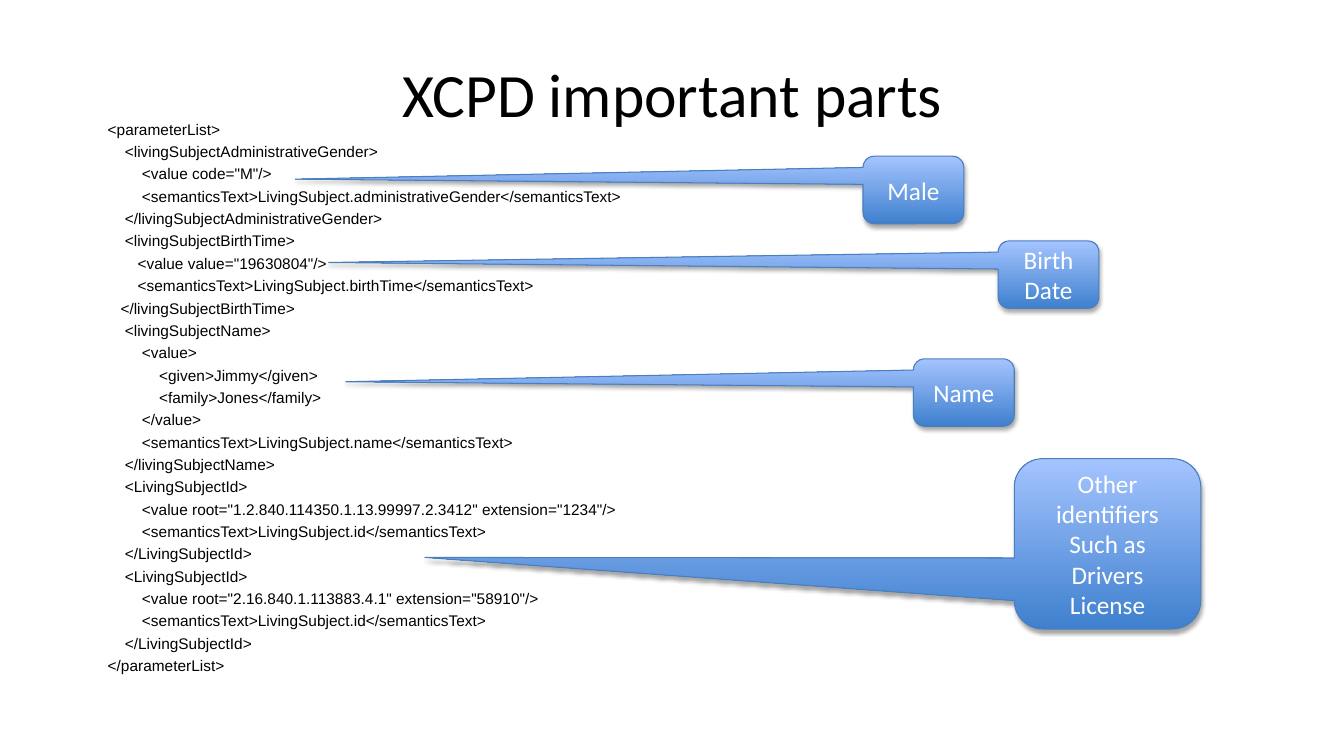
from dataclasses import dataclass

from lxml import etree
from pptx import Presentation
from pptx import util as u
from pptx.dml.color import RGBColor
from pptx.enum import shapes, text
from pptx.oxml.ns import qn

SPACE = 0.0425


@dataclass
class Line:
    pad: int
    code: str


@dataclass
class Note:
    label: str
    left: float
    top: float
    width: float
    height: float
    tip_x: float
    tip_y: float


LINES = [
    Line(0, '<parameterList>'),
    Line(4, '<livingSubjectAdministrativeGender>'),
    Line(8, '<value code="M"/>'),
    Line(8, '<semanticsText>LivingSubject.administrativeGender</semanticsText>'),
    Line(4, '</livingSubjectAdministrativeGender>'),
    Line(4, '<livingSubjectBirthTime>'),
    Line(7, '<value value="19630804"/>'),
    Line(7, '<semanticsText>LivingSubject.birthTime</semanticsText>'),
    Line(3, '</livingSubjectBirthTime>'),
    Line(4, '<livingSubjectName>'),
    Line(8, '<value>'),
    Line(12, '<given>Jimmy</given>'),
    Line(12, '<family>Jones</family>'),
    Line(8, '</value>'),
    Line(8, '<semanticsText>LivingSubject.name</semanticsText>'),
    Line(4, '</livingSubjectName>'),
    Line(4, '<LivingSubjectId>'),
    Line(8, '<value root="1.2.840.114350.1.13.99997.2.3412" extension="1234"/>'),
    Line(8, '<semanticsText>LivingSubject.id</semanticsText>'),
    Line(4, '</LivingSubjectId>'),
    Line(4, '<LivingSubjectId>'),
    Line(8, '<value root="2.16.840.1.113883.4.1" extension="58910"/>'),
    Line(8, '<semanticsText>LivingSubject.id</semanticsText>'),
    Line(4, '</LivingSubjectId>'),
    Line(0, '</parameterList>'),
]

NOTES = [
    Note("Male", 8.56, 1.55, 1, 0.67, -6.13, -0.16),
    Note("Birth Date", 9.9, 2.39, 1, 0.67, -7.14, -0.18),
    Note("Name", 9.06, 3.56, 1, 0.67, -6.13, -0.16),
    Note("Other identifiers Such as Drivers License",
         10.06, 4.55, 1.85, 1.69, -3.66, 0.08),
]


def tint(color, code: str) -> None:
    color.rgb = RGBColor.from_string(code)


def style(par, face: str, size: float, code: str) -> None:
    for run in par.runs:
        run.font.name = face
        run.font.size = u.Pt(size)
        tint(run.font.color, code)


def shade(shape) -> None:
    shape.shadow.inherit = False
    glow = shape.element.spPr.find(qn("a:effectLst"))
    drop = etree.SubElement(glow, qn("a:outerShdw"), blurRad=str(u.Pt(3.1)),
                            dist=str(u.Pt(1.8)), dir="5400000", rotWithShape="0")
    black = etree.SubElement(drop, qn("a:srgbClr"), val="000000")
    etree.SubElement(black, qn("a:alpha"), val="35000")


def draw_title(slide) -> None:
    title = slide.shapes.title
    title.left, title.top = u.Inches(0.67), u.Inches(0.3)
    title.width, title.height = u.Inches(12), u.Inches(1.25)
    frame = title.text_frame
    frame.text = "XCPD important parts"
    frame.vertical_anchor = text.MSO_ANCHOR.MIDDLE
    frame.paragraphs[0].alignment = text.PP_ALIGN.CENTER
    style(frame.paragraphs[0], "Calibri", 44, "000000")


def draw_code(slide, lines: list[Line]) -> None:
    box = slide.shapes.add_textbox(u.Inches(0.46), u.Inches(1.14),
                                   u.Inches(12.21), u.Inches(6.19))
    frame = box.text_frame
    frame.word_wrap = True
    frame.text = "\n".join(line.code for line in lines)
    for par, line in zip(frame.paragraphs, lines):
        par.space_before = u.Pt(2.75)
        props = par._p.get_or_add_pPr()
        props.set("marL", str(u.Inches((12 + line.pad) * SPACE)))
        props.set("indent", "0")
        style(par, "Arial", 11, "000000")


def draw_note(slide, note: Note) -> None:
    shape = slide.shapes.add_shape(
        shapes.MSO_SHAPE.ROUNDED_RECTANGULAR_CALLOUT,
        u.Inches(note.left), u.Inches(note.top),
        u.Inches(note.width), u.Inches(note.height))
    for place, value in enumerate((note.tip_x, note.tip_y, 0.167)):
        shape.adjustments[place] = value
    shape.fill.gradient()
    shape.fill.gradient_angle = 90
    for stop, spot, code in zip(shape.fill.gradient_stops, (0, 1),
                                ("3F80CE", "A4C4FF")):
        stop.position = spot
        tint(stop.color, code)
    tint(shape.line.color, "4B7EBC")
    shape.line.width = u.Pt(0.75)
    shade(shape)
    frame = shape.text_frame
    frame.word_wrap = True
    frame.text = note.label
    frame.vertical_anchor = text.MSO_ANCHOR.MIDDLE
    frame.paragraphs[0].alignment = text.PP_ALIGN.CENTER
    style(frame.paragraphs[0], "Calibri", 18, "FFFFFF")


def main() -> None:
    deck = Presentation()
    deck.slide_width, deck.slide_height = u.Inches(13.33), u.Inches(7.5)
    slide = deck.slides.add_slide(deck.slide_layouts[5])
    draw_title(slide)
    draw_code(slide, LINES)
    for note in NOTES:
        draw_note(slide, note)
    deck.save("out.pptx")


if __name__ == "__main__":
    main()
